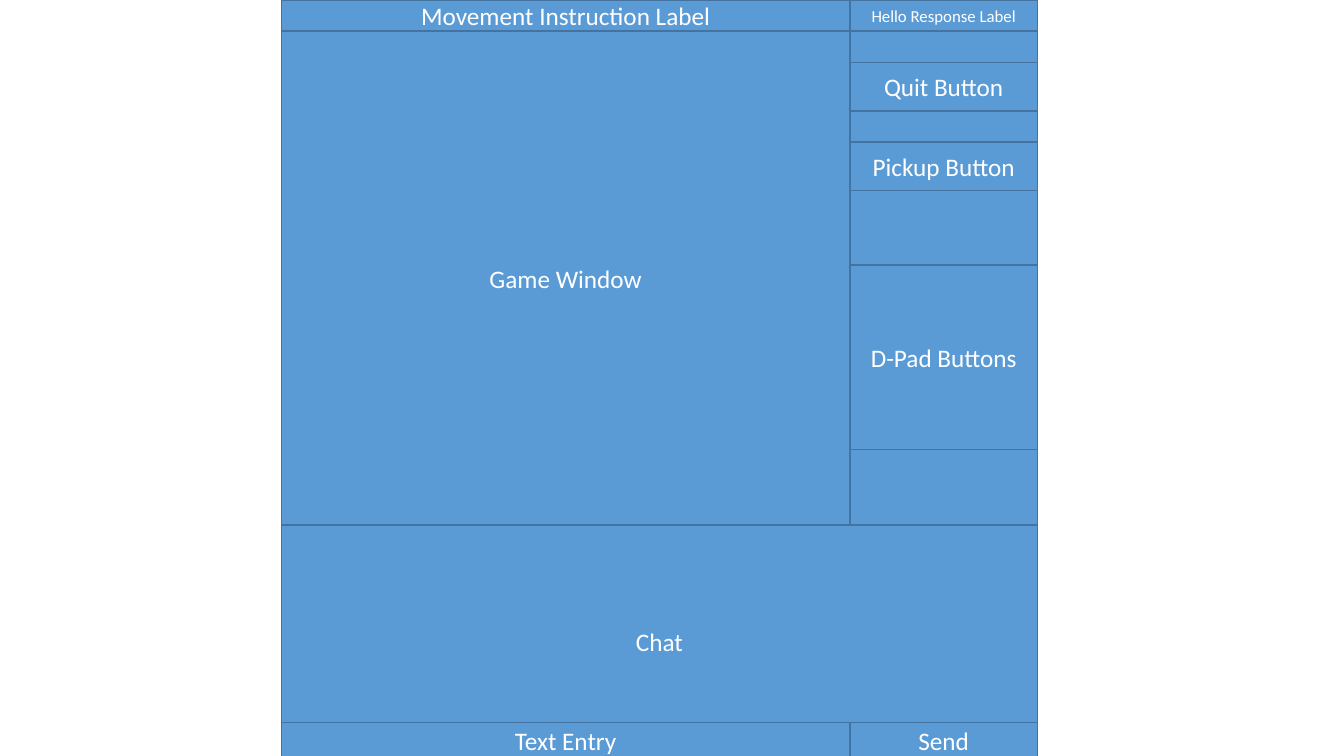
import pptx
import pptx.dml.color
import pptx.enum.shapes
import pptx.enum.text
import pptx.util

EMU_PER_PX = 9144  # 100 px to the inch
COLORS = {"panel": "5B9BD5", "border": "43739E", "text": "FFFFFF"}

# Edges shared by the panels
LEFT, SPLIT, RIGHT = 279, 843, 1029
LABEL_BOTTOM, CHAT_TOP, ENTRY_TOP = 31, 521, 717
ENTRY_HEIGHT = 35
BUTTON_HEIGHT = 48


def px(length):
    return pptx.util.Emu(length * EMU_PER_PX)


def color(name):
    return pptx.dml.color.RGBColor.from_string(COLORS[name])


def add_panel(page, left, top, right, height, label="", size=18):
    """Draw a bordered panel with an optional centred label."""
    box = page.shapes.add_shape(
        pptx.enum.shapes.MSO_SHAPE.RECTANGLE,
        px(left), px(top), px(right - left), px(height))
    box.shadow.inherit = False
    box.fill.solid()
    box.fill.fore_color.rgb = color("panel")
    box.line.color.rgb = color("border")
    box.line.width = pptx.util.Pt(1)
    if label:
        frame = box.text_frame
        frame.word_wrap = True
        frame.vertical_anchor = pptx.enum.text.MSO_ANCHOR.MIDDLE
        para = frame.paragraphs[0]
        para.text = label
        para.alignment = pptx.enum.text.PP_ALIGN.CENTER
        para.font.name = "Calibri"
        para.font.size = pptx.util.Pt(size)
        para.font.color.rgb = color("text")


def add_side_panel(page, top, height, label="", size=18):
    add_panel(page, SPLIT, top, RIGHT, height, label, size)


def main():
    deck = pptx.Presentation()
    deck.slide_width, deck.slide_height = px(1333), px(750)
    page = deck.slides.add_slide(deck.slide_layouts[6])

    # Application window and its main areas
    add_panel(page, LEFT, 1, RIGHT, 750)
    add_panel(page, LEFT, LABEL_BOTTOM, SPLIT, CHAT_TOP - LABEL_BOTTOM,
              "Game Window")
    add_panel(page, LEFT, CHAT_TOP, RIGHT, 230, "Chat")
    add_side_panel(page, LABEL_BOTTOM, CHAT_TOP - LABEL_BOTTOM)

    # Chat entry row
    add_panel(page, LEFT, ENTRY_TOP, SPLIT, ENTRY_HEIGHT, "Text Entry")
    add_side_panel(page, ENTRY_TOP, ENTRY_HEIGHT, "Send")

    # Label row
    add_panel(page, LEFT, 0, SPLIT, LABEL_BOTTOM, "Movement Instruction Label")
    add_side_panel(page, 0, LABEL_BOTTOM, "Hello Response Label", 12)

    # Side controls
    add_side_panel(page, 62, BUTTON_HEIGHT, "Quit Button")
    add_side_panel(page, 141, BUTTON_HEIGHT, "Pickup Button")
    add_side_panel(page, 263, 183, "D-Pad Buttons")

    deck.save("out.pptx")


if __name__ == "__main__":
    main()
